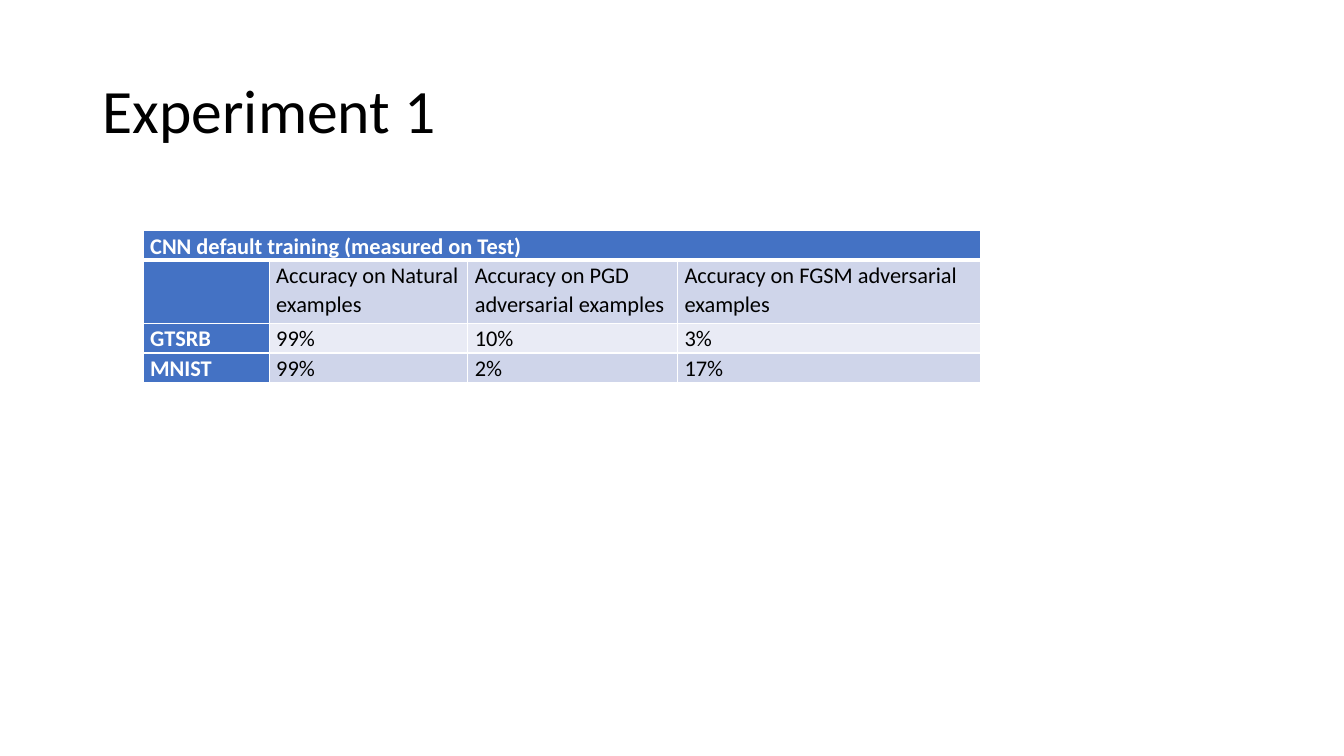
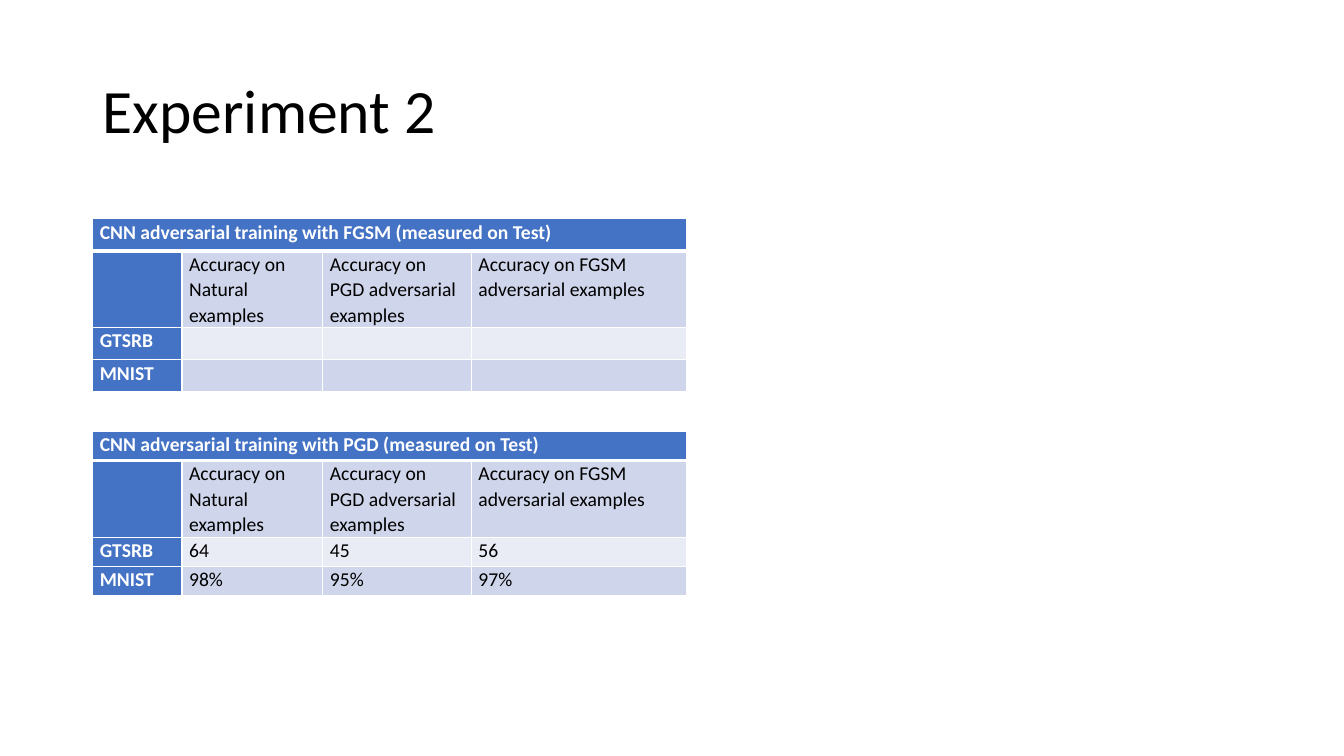
from lxml.etree import SubElement
from pptx import Presentation
from pptx.dml.color import RGBColor
from pptx.enum.text import MSO_ANCHOR, PP_ALIGN
from pptx.oxml.ns import qn
from pptx.util import Inches, Pt

COLORS = {"ink": "000000", "paper": "FFFFFF", "accent": "4472C4",
          "band_dark": "CFD5EA", "band_light": "E9EBF5"}
FONT = "Calibri"
SLIDE_SIZE = (13.33, 7.5)
TITLE_BOX = (0.92, 0.4, 11.5, 1.45)
COLUMN_WEIGHTS = (125, 197, 208, 301)
MEASURES = ("", "Accuracy on Natural examples",
            "Accuracy on PGD adversarial examples",
            "Accuracy on FGSM adversarial examples")

# Each table: box, plain row height, text size, caption, result rows
EXPERIMENTS = {
    "Experiment 1": [
        ((1.42, 2.29, 8.31, 1.44), 0.27, 16,
         "CNN default training (measured on Test)",
         [("GTSRB", "99%", "10%", "3%"), ("MNIST", "99%", "2%", "17%")]),
    ],
    "Experiment 2": [
        ((0.92, 2.17, 5.89, 1.7), 0.32, 14,
         "CNN adversarial training with FGSM (measured on Test)",
         [("GTSRB", "", "", ""), ("MNIST", "", "", "")]),
        ((0.92, 4.28, 5.89, 1.62), 0.29, 14,
         "CNN adversarial training with PGD (measured on Test)",
         [("GTSRB", "64", "45", "56"), ("MNIST", "98%", "95%", "97%")]),
    ],
}


def color(name):
    return RGBColor.from_string(COLORS[name])


def style_paragraph(para, size, ink, spacing, bold=False):
    para.alignment = PP_ALIGN.LEFT
    para.line_spacing = spacing
    para.font.name = FONT
    para.font.size = Pt(size)
    para.font.bold = bold
    para.font.color.rgb = color(ink)


def add_title(page, text):
    title = page.shapes.title
    title.left, title.top, title.width, title.height = map(Inches, TITLE_BOX)
    frame = title.text_frame
    frame.text = text
    frame.word_wrap = True
    frame.vertical_anchor = MSO_ANCHOR.MIDDLE
    style_paragraph(frame.paragraphs[0], 44, "ink", 0.9)


def set_borders(cell, widths):
    """Draw left, right, top and bottom borders; they precede the fill."""
    properties = cell._tc.get_or_add_tcPr()
    for place, (side, width) in enumerate(zip("LRTB", widths)):
        line = SubElement(properties, qn(f"a:ln{side}"), w=str(Pt(width)))
        fill = SubElement(line, qn("a:solidFill"))
        SubElement(fill, qn("a:srgbClr"), val=COLORS["paper"])
        properties.insert(place, line)


def style_cell(cell, text, row, column, size):
    heading = row == 0 or column == 0
    band = "band_dark" if row % 2 else "band_light"
    cell.text = text
    cell.margin_left = cell.margin_right = Inches(0.07)
    cell.margin_top = cell.margin_bottom = 0
    style_paragraph(cell.text_frame.paragraphs[0], size,
                    "paper" if heading else "ink", 1.07, heading)
    cell.fill.solid()
    cell.fill.fore_color.rgb = color("accent" if heading else band)
    set_borders(cell, (1, 1, 3 if row == 1 else 1, 3 if row == 0 else 1))


def add_results(page, box, row_height, size, caption, results):
    rows = [(caption, "", "", ""), MEASURES, *results]
    left, top, width, height = box
    table = page.shapes.add_table(len(rows), len(MEASURES),
                                  *map(Inches, box)).table
    table.first_col = True
    for column, weight in zip(table.columns, COLUMN_WEIGHTS):
        column.width = Inches(width * weight / sum(COLUMN_WEIGHTS))
    # The measures row takes the height that the plain rows leave
    for row in table.rows:
        row.height = Inches(row_height)
    table.rows[1].height = Inches(height - row_height * (len(rows) - 1))
    for i, texts in enumerate(rows):
        for j, text in enumerate(texts):
            style_cell(table.cell(i, j), text, i, j, size)
    table.cell(0, 0).merge(table.cell(0, len(MEASURES) - 1))


def add_experiment(deck, title, tables):
    page = deck.slides.add_slide(deck.slide_layouts.get_by_name("Title Only"))
    page.background.fill.solid()
    page.background.fill.fore_color.rgb = color("paper")
    add_title(page, title)
    for table in tables:
        add_results(page, *table)


def main():
    deck = Presentation()
    deck.slide_width, deck.slide_height = map(Inches, SLIDE_SIZE)
    for title, tables in EXPERIMENTS.items():
        add_experiment(deck, title, tables)
    deck.save("out.pptx")


if __name__ == "__main__":
    main()
